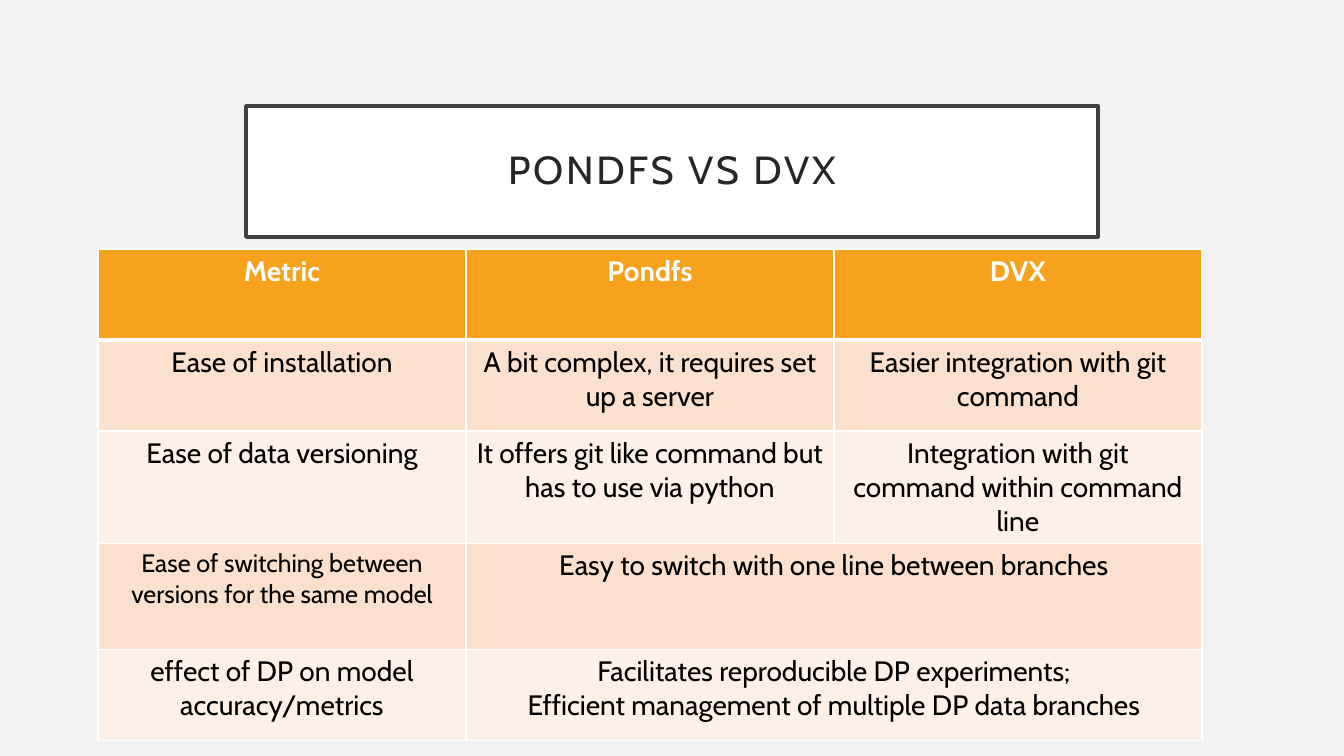
from lxml import etree
from pptx import Presentation
from pptx.dml.color import RGBColor
from pptx.enum.shapes import MSO_SHAPE
from pptx.enum.text import MSO_ANCHOR, PP_ALIGN
from pptx.oxml.ns import qn
from pptx.util import Pt

PX = 9071  # EMU per px, 1344 px across the slide
RECTANGLE = MSO_SHAPE.RECTANGLE
MIDDLE = MSO_ANCHOR.MIDDLE
CENTER = PP_ALIGN.CENTER
FONT = "Cabin"

PAGE_GREY = RGBColor(0xF2, 0xF2, 0xF2)
WHITE = RGBColor(0xFF, 0xFF, 0xFF)
BLACK = RGBColor(0x00, 0x00, 0x00)
FRAME = RGBColor(0x40, 0x40, 0x40)
TITLE_INK = RGBColor(0x26, 0x26, 0x26)
ORANGE = RGBColor(0xF6, 0xA2, 0x1D)
BANDS = (RGBColor(0xFD, 0xF0, 0xE8), RGBColor(0xFB, 0xE0, 0xCD))

TITLE = "PONDFS VS DVX"
ROWS = [
    ("Metric", "Pondfs", "DVX"),
    ("Ease of installation", "A bit complex, it requires set up a server",
     "Easier integration with git command"),
    ("Ease of data versioning",
     "It offers git like command but has to use via python",
     "Integration with git command within command line"),
    ("Ease of switching between versions for the same model",
     "Easy to switch with one line between branches"),
    ("effect of DP on model accuracy/metrics",
     "Facilitates reproducible DP experiments;\n"
     "Efficient management of multiple DP data branches"),
]
ROW_HEIGHTS = (91, 91, 112, 106, 91)
SMALL_TEXT_CELL = (3, 0)


def scaled(box):
    return [length * PX for length in box]


def style_para(para, size, color, bold=False):
    para.alignment = CENTER
    font = para.font
    font.name, font.size, font.bold = FONT, Pt(size), bold
    font.color.rgb = color


def add_title(page, box):
    title = page.shapes.add_shape(RECTANGLE, *scaled(box))
    title.shadow.inherit = False
    title.fill.solid()
    title.fill.fore_color.rgb = WHITE
    title.line.color.rgb = FRAME
    title.line.width = Pt(2.5)
    frame = title.text_frame
    frame.word_wrap = True
    frame.vertical_anchor = MIDDLE
    frame.margin_left = frame.margin_right = 20 * PX
    frame.margin_top = frame.margin_bottom = 20 * PX
    para = frame.paragraphs[0]
    para.line_spacing = 0.9
    style_para(para, 28, TITLE_INK)
    span = para.add_run()
    span.text = TITLE
    span.font._element.set("spc", "200")


def set_borders(cell, bottom_width):
    properties = cell._tc.get_or_add_tcPr()
    widths = {"a:lnL": 1, "a:lnR": 1, "a:lnT": 1, "a:lnB": bottom_width}
    for position, (side, width) in enumerate(widths.items()):
        line = etree.Element(qn(side), w=str(Pt(width)))
        fill = etree.SubElement(line, qn("a:solidFill"))
        etree.SubElement(fill, qn("a:srgbClr"), val=str(WHITE))
        properties.insert(position, line)


def add_comparison(page, box):
    """Fill the box with the table; a row of two texts merges its last cells."""
    columns = len(ROWS[0])
    table = page.shapes.add_table(len(ROWS), columns, *scaled(box)).table
    for column in table.columns:
        column.width = box[2] * PX // columns
    for index, texts in enumerate(ROWS):
        header = index == 0
        table.rows[index].height = ROW_HEIGHTS[index] * PX
        if len(texts) < columns:
            table.cell(index, len(texts) - 1).merge(table.cell(index, columns - 1))
        for place in range(columns):
            cell = table.cell(index, place)
            cell.fill.solid()
            cell.fill.fore_color.rgb = ORANGE if header else BANDS[index % 2]
            set_borders(cell, 3 if header else 1)
            if place < len(texts):
                cell.text = texts[place]
                size = 18 if (index, place) == SMALL_TEXT_CELL else 20
                for para in cell.text_frame.paragraphs:
                    style_para(para, size, WHITE if header else BLACK, header)


def main():
    deck = Presentation()
    deck.slide_width, deck.slide_height = scaled((1344, 756))
    page = deck.slides.add_slide(deck.slide_layouts[6])
    page.background.fill.solid()
    page.background.fill.fore_color.rgb = PAGE_GREY
    add_title(page, (246, 106, 852, 131))
    add_comparison(page, (98, 249, 1104, sum(ROW_HEIGHTS)))
    deck.save("out.pptx")


if __name__ == "__main__":
    main()
